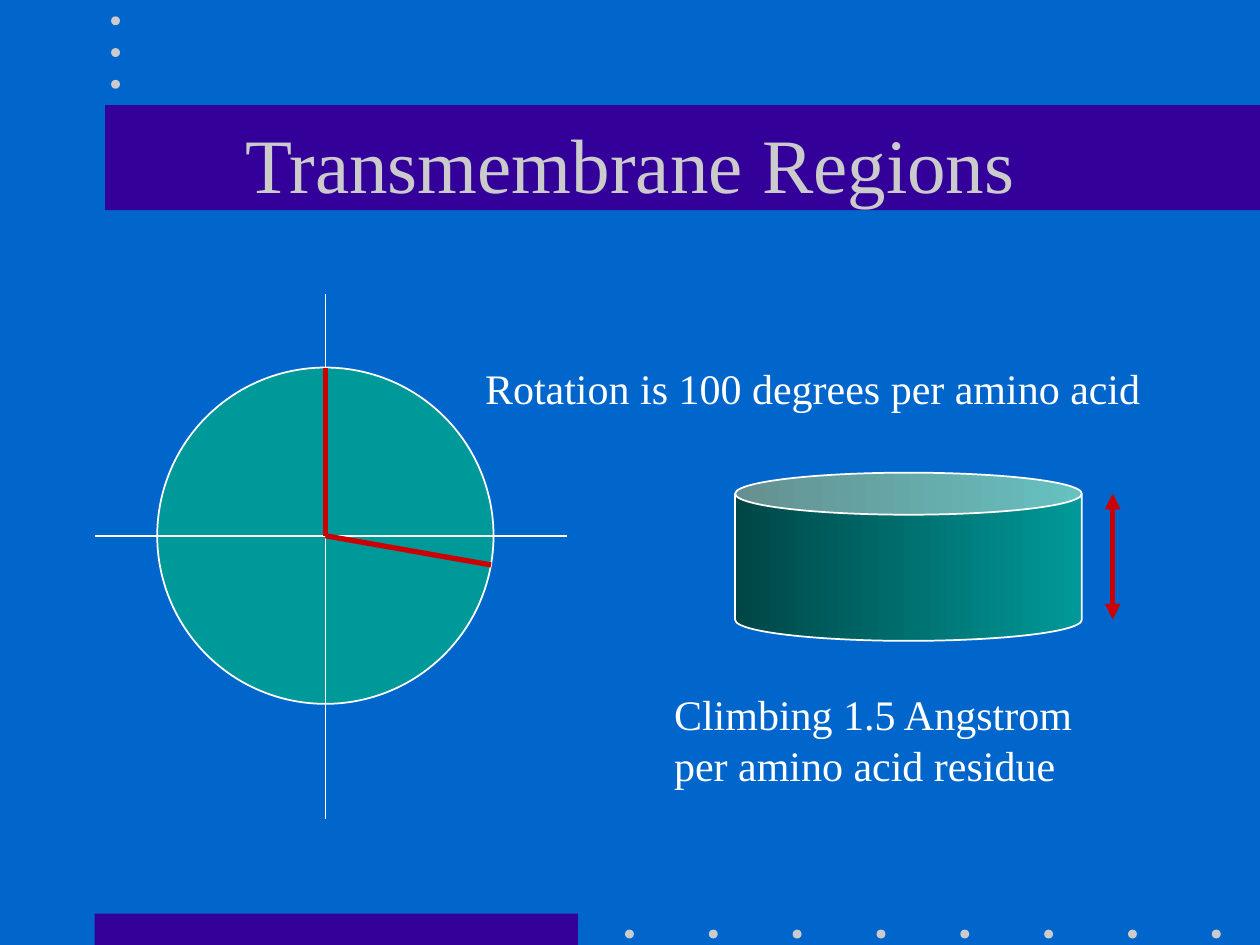
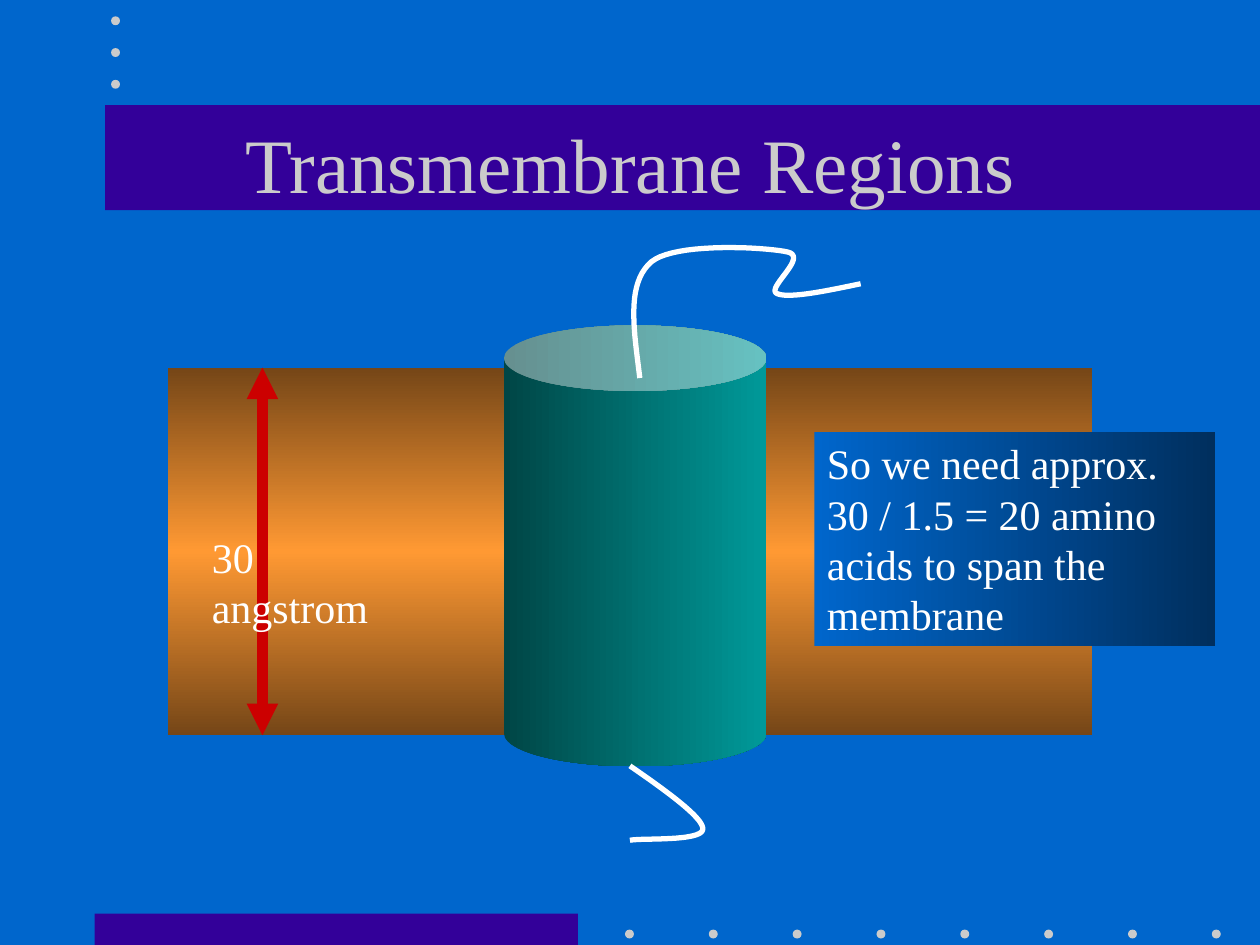
from copy import deepcopy
from math import cos, radians, sin

from pptx import Presentation
from pptx.dml.color import RGBColor
from pptx.enum.shapes import MSO_CONNECTOR, MSO_SHAPE
from pptx.enum.text import MSO_ANCHOR, MSO_AUTO_SIZE, PP_ALIGN
from pptx.oxml.ns import qn
from pptx.util import Cm, Pt

COLORS = {
    "background": "0066CC",
    "band": "330099",
    "title": "CBCBCB",
    "text": "FFFFFF",
    "helix": "009999",
    "helix_dark": "004646",
    "accent": "CC0000",
    "membrane": "FF9933",
    "membrane_dark": "754617",
    "panel_dark": "002F5E",
}
RGB = {name: RGBColor.from_string(value) for name, value in COLORS.items()}
FONT = "Times New Roman"


def add_filled(slide, kind, box, colors, angle=0, outline=False):
    shape = slide.shapes.add_shape(kind, *[Cm(v) for v in box])
    shape.shadow.inherit = False
    if len(colors) == 1:
        shape.fill.solid()
        shape.fill.fore_color.rgb = RGB[colors[0]]
    else:
        shape.fill.gradient()
        shape.fill.gradient_angle = angle
        stop_list = shape._element.spPr.find(".//" + qn("a:gsLst"))
        for _ in colors[2:]:
            stop_list.append(deepcopy(stop_list[0]))
        for i, (stop, color) in enumerate(zip(shape.fill.gradient_stops, colors)):
            stop.position = i / (len(colors) - 1)
            stop.color.rgb = RGB[color]
    if outline:
        shape.line.color.rgb = RGB["text"]
        shape.line.width = Pt(1)
    else:
        shape.line.fill.background()
    return shape


def add_stroke(slide, ends, color, width, arrows=False):
    stroke = slide.shapes.add_connector(MSO_CONNECTOR.STRAIGHT, *[Cm(v) for v in ends])
    stroke.line.color.rgb = RGB[color]
    stroke.line.width = Pt(width)
    if arrows:
        for tag in ("a:headEnd", "a:tailEnd"):
            tip = stroke.line._ln.makeelement(qn(tag), {"type": "triangle"})
            stroke.line._ln.append(tip)
    properties = stroke._element.spPr
    properties.append(properties.makeelement(qn("a:effectLst"), {}))


prs = Presentation()
prs.slide_width = Cm(25.4)
prs.slide_height = Cm(19.05)
prs.slide_master.background.fill.solid()
prs.slide_master.background.fill.fore_color.rgb = RGB["background"]
layout = prs.slide_layouts[5]
rotation_slide = prs.slides.add_slide(layout)
membrane_slide = prs.slides.add_slide(layout)

bands = [(1.91, 18.42, 9.74, 0.64), (2.12, 2.12, 23.28, 2.12)]
dots = [(12.6 + 1.69 * i, 18.74, 0.18, 0.18) for i in range(8)]
dots += [(2.24, 0.33 + 0.64 * i, 0.18, 0.18) for i in range(3)]
decoration = [(MSO_SHAPE.RECTANGLE, box, "band") for box in bands]
decoration += [(MSO_SHAPE.OVAL, box, "title") for box in dots]
for kind, box, color in decoration:
    ornament = add_filled(rotation_slide, kind, box, [color])
    layout.shapes._spTree.insert(2, ornament._element)

for slide in prs.slides:
    title = slide.shapes.title
    title.left, title.top, title.width, title.height = Cm(1.91), Cm(1.69), Cm(21.59), Cm(3.18)
    title.text_frame.text = "Transmembrane Regions"
    title.text_frame.auto_size = MSO_AUTO_SIZE.NONE
    title.text_frame.vertical_anchor = MSO_ANCHOR.MIDDLE
    heading = title.text_frame.paragraphs[0]
    heading.alignment = PP_ALIGN.CENTER
    heading.font.name = FONT
    heading.font.size = Pt(44)
    heading.font.color.rgb = RGB["title"]

center_x, center_y, radius = 6.56, 10.8, 3.39
circle = (center_x - radius, center_y - radius, 2 * radius, 2 * radius)
add_filled(rotation_slide, MSO_SHAPE.OVAL, circle, ["helix"], outline=True)
add_stroke(rotation_slide, (center_x, 5.93, center_x, 16.51), "text", 1)
add_stroke(rotation_slide, (1.91, center_y, 11.43, center_y), "text", 1)
for degrees in (0, 100):
    rim_x = center_x + radius * sin(radians(degrees))
    rim_y = center_y - radius * cos(radians(degrees))
    add_stroke(rotation_slide, (rim_x, rim_y, center_x, center_y), "accent", 3)
helix_shades = ["helix_dark", "helix"]
add_filled(rotation_slide, MSO_SHAPE.CAN, (14.82, 9.53, 6.99, 3.39), helix_shades, outline=True)
add_stroke(rotation_slide, (22.43, 9.95, 22.43, 12.49), "accent", 3, arrows=True)

membrane_shades = ["membrane_dark", "membrane", "membrane_dark"]
add_filled(membrane_slide, MSO_SHAPE.RECTANGLE, (3.39, 7.41, 18.63, 7.41), membrane_shades, angle=90)
add_filled(membrane_slide, MSO_SHAPE.CAN, (10.16, 6.56, 5.29, 8.89), helix_shades)

upper_loop = [
    (12.9, 7.62), (12.78, 6.65), (12.62, 5.72), (13.13, 5.28), (13.61, 4.88),
    (15.44, 4.98), (15.88, 5.08), (16.31, 5.18), (15.42, 5.82), (15.67, 5.92),
    (15.9, 6.02), (16.64, 5.87), (17.35, 5.72),
]
lower_loop = [
    (12.7, 15.44), (13.44, 15.95), (14.17, 16.48), (14.17, 16.71),
    (14.17, 16.97), (12.95, 16.89), (12.7, 16.94),
]
steps = 20
for loop in (upper_loop, lower_loop):
    points = []
    for first in range(0, len(loop) - 1, 3):
        for step in range(1, steps + 1):
            t = step / steps
            weights = ((1 - t) ** 3, 3 * t * (1 - t) ** 2, 3 * t**2 * (1 - t), t**3)
            controls = zip(*loop[first:first + 4])
            points.append(tuple(Cm(sum(w * v for w, v in zip(weights, axis))) for axis in controls))
    builder = membrane_slide.shapes.build_freeform(Cm(loop[0][0]), Cm(loop[0][1]))
    builder.add_line_segments(points, close=False)
    strand = builder.convert_to_shape()
    strand.shadow.inherit = False
    strand.fill.background()
    strand.line.color.rgb = RGB["text"]
    strand.line.width = Pt(3)

add_stroke(membrane_slide, (5.29, 7.41, 5.29, 14.82), "accent", 6, arrows=True)

conclusion = add_filled(
    membrane_slide, MSO_SHAPE.RECTANGLE, (16.42, 8.7, 8.07, 4.33), ["background", "panel_dark"]
)
conclusion.text_frame.text = "So we need approx. 30 / 1.5 = 20 amino acids to span the membrane"
conclusion.text_frame.word_wrap = True
captions = [conclusion]
for slide, box, wording in (
    (rotation_slide, (9.53, 7.19, 13.72, 1.27), "Rotation is 100 degrees per amino acid"),
    (rotation_slide, (13.34, 13.76, 8.79, 2.29), "Climbing 1.5 Angstrom\nper amino acid residue"),
    (membrane_slide, (4.02, 10.58, 4.7, 1.27), "30 angstrom"),
):
    caption = slide.shapes.add_textbox(*[Cm(v) for v in box])
    caption.text_frame.text = wording
    caption.text_frame.word_wrap = False
    captions.append(caption)

for caption in captions:
    caption.text_frame.vertical_anchor = MSO_ANCHOR.TOP
    for paragraph in caption.text_frame.paragraphs:
        paragraph.alignment = PP_ALIGN.LEFT
        paragraph.font.name = FONT
        paragraph.font.size = Pt(24)
        paragraph.font.color.rgb = RGB["text"]

prs.save("out.pptx")
